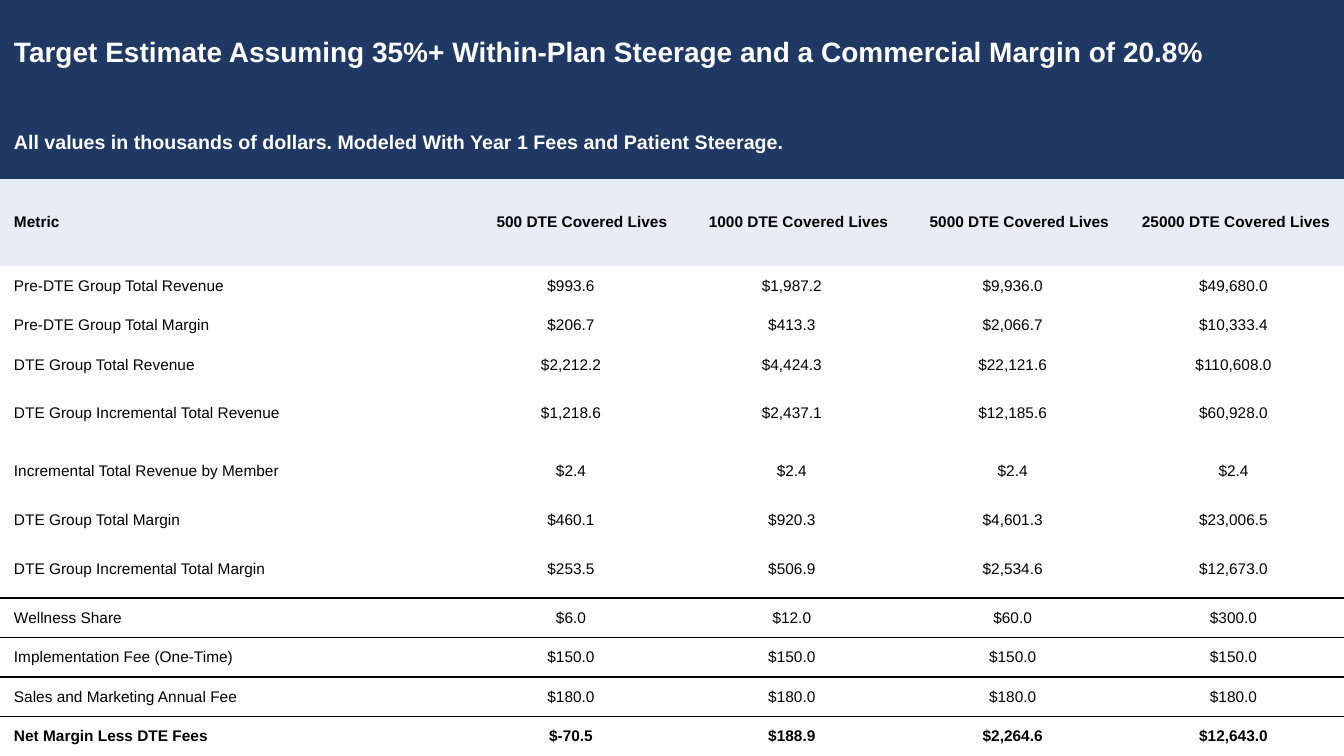
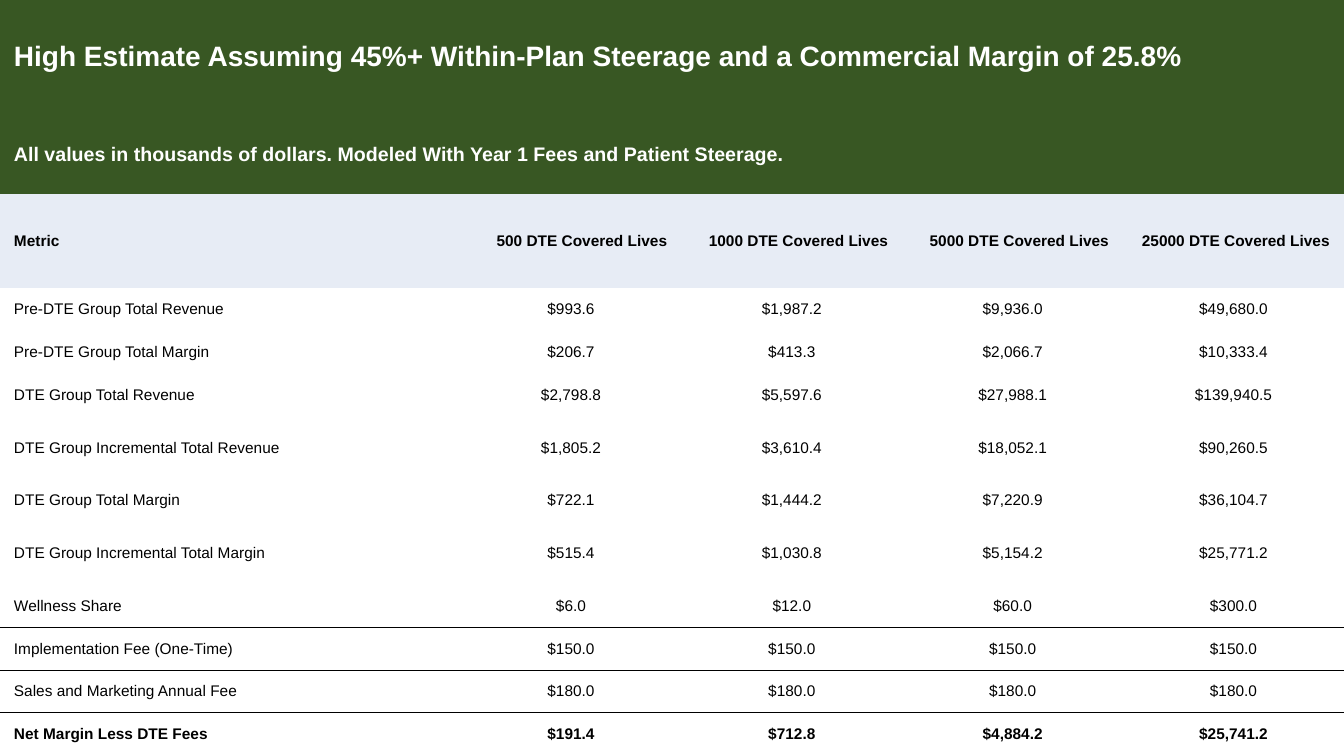
"""Build two slides of margin estimates for direct-to-employer groups."""
from lxml import etree
from pptx import Presentation
from pptx.dml.color import RGBColor
from pptx.enum.text import MSO_ANCHOR, PP_ALIGN
from pptx.oxml.ns import qn
from pptx.util import Pt

LEFT, CENTER, RIGHT = PP_ALIGN.LEFT, PP_ALIGN.CENTER, PP_ALIGN.RIGHT
MIDDLE = MSO_ANCHOR.MIDDLE

FONT = "Arial"
NAVY, GREEN, PALE_BLUE = "203864", "385723", "E7ECF5"
BLACK, WHITE = "000000", "FFFFFF"
PLAIN_TABLE_STYLE = "{2D5ABB26-0587-4C30-8999-92F81FD0307C}"

SLIDE_WIDTH, SLIDE_HEIGHT = 960, 540
COLUMN_WIDTHS = [329] + [157.75] * 4
CELL_MARGIN = 10
HEADING_HEIGHTS = [75.5, 52.5, 62]
ROW_HEIGHT, TALL_ROW_HEIGHT = 28.2, 41.4

SUBTITLE = "All values in thousands of dollars. Modeled With Year 1 Fees and Patient Steerage."
COVERED_LIVES = [500, 1000, 5000, 25000]
BASELINE = [
    ("Pre-DTE Group Total Revenue", [993.6, 1987.2, 9936, 49680]),
    ("Pre-DTE Group Total Margin", [206.7, 413.3, 2066.7, 10333.4]),
]
FEES = [
    ("Wellness Share", [6, 12, 60, 300]),
    ("Implementation Fee (One-Time)", [150] * 4),
    ("Sales and Marketing Annual Fee", [180] * 4),
]
TARGET = [
    *BASELINE,
    ("DTE Group Total Revenue", [2212.2, 4424.3, 22121.6, 110608]),
    ("DTE Group Incremental Total Revenue", [1218.6, 2437.1, 12185.6, 60928]),
    ("Incremental Total Revenue by Member", [2.4] * 4),
    ("DTE Group Total Margin", [460.1, 920.3, 4601.3, 23006.5]),
    ("DTE Group Incremental Total Margin", [253.5, 506.9, 2534.6, 12673]),
    *FEES,
    ("Net Margin Less DTE Fees", [-70.5, 188.9, 2264.6, 12643]),
]
HIGH = [
    *BASELINE,
    ("DTE Group Total Revenue", [2798.8, 5597.6, 27988.1, 139940.5]),
    ("DTE Group Incremental Total Revenue", [1805.2, 3610.4, 18052.1, 90260.5]),
    ("DTE Group Total Margin", [722.1, 1444.2, 7220.9, 36104.7]),
    ("DTE Group Incremental Total Margin", [515.4, 1030.8, 5154.2, 25771.2]),
    *FEES,
    ("Net Margin Less DTE Fees", [191.4, 712.8, 4884.2, 25741.2]),
]


def rgb(value):
    """Turn a hex string into a colour."""
    return RGBColor.from_string(value)


def write_cell(cell, text, size=11, color=BLACK, bold=False, align=LEFT, fill=None):
    """Put formatted text into a table cell."""
    cell.margin_left = cell.margin_right = Pt(CELL_MARGIN)
    cell.margin_top = cell.margin_bottom = 0
    cell.vertical_anchor = MIDDLE
    if fill:
        cell.fill.solid()
        cell.fill.fore_color.rgb = rgb(fill)
    else:
        cell.fill.background()
    paragraph = cell.text_frame.paragraphs[0]
    paragraph.alignment = align
    run = paragraph.add_run()
    run.text = text
    run.font.name = FONT
    run.font.size = Pt(size)
    run.font.bold = bold
    run.font.color.rgb = rgb(color)


def rule_edge(cell, edge):
    """Draw a thin black border on one edge of a cell."""
    line = etree.Element(qn(f"a:{edge}"), w=str(Pt(1)))
    solid = etree.SubElement(line, qn("a:solidFill"))
    etree.SubElement(solid, qn("a:srgbClr"), val=BLACK)
    cell._tc.get_or_add_tcPr().insert(0, line)


def rule_below(table, row):
    """Draw a border between a table row and the next one."""
    for column in range(len(COLUMN_WIDTHS)):
        rule_edge(table.cell(row, column), "lnB")
        rule_edge(table.cell(row + 1, column), "lnT")


def add_plain_table(slide, metrics):
    """Add an unstyled table whose rows share out the slide height."""
    heights = HEADING_HEIGHTS + [
        TALL_ROW_HEIGHT if "Incremental" in label else ROW_HEIGHT
        for label, _ in metrics
    ]
    table = slide.shapes.add_table(
        len(heights), len(COLUMN_WIDTHS), 0, 0, Pt(SLIDE_WIDTH), Pt(SLIDE_HEIGHT)
    ).table
    table.first_row = table.horz_banding = False
    table._tbl.tblPr.find(qn("a:tableStyleId")).text = PLAIN_TABLE_STYLE
    for column, width in zip(table.columns, COLUMN_WIDTHS):
        column.width = Pt(width)
    scale = SLIDE_HEIGHT / sum(heights)
    for row, height in zip(table.rows, heights):
        row.height = Pt(height * scale)
    return table


def add_band(table, row, text, size, fill):
    """Fill a whole table row with one heading."""
    table.cell(row, 0).merge(table.cell(row, len(COLUMN_WIDTHS) - 1))
    write_cell(table.cell(row, 0), text, size=size, color=WHITE, bold=True, fill=fill)


def add_row(table, row, label, entries, align=CENTER, **style):
    """Write a label and its entries across a table row."""
    write_cell(table.cell(row, 0), label, **style)
    for column, entry in enumerate(entries, 1):
        write_cell(table.cell(row, column), entry, align=align, **style)


def add_estimate(deck, title, band_color, metrics, ruled_labels):
    """Add a slide that tabulates one estimate."""
    slide = deck.slides.add_slide(deck.slide_layouts[6])
    table = add_plain_table(slide, metrics)
    add_band(table, 0, title, 20, band_color)
    add_band(table, 1, SUBTITLE, 14, band_color)
    lives = [f"{count} DTE Covered Lives" for count in COVERED_LIVES]
    add_row(table, 2, "Metric", lives, align=RIGHT, bold=True, fill=PALE_BLUE)
    for row, (label, amounts) in enumerate(metrics, len(HEADING_HEIGHTS)):
        dollars = [f"${amount:,.1f}" for amount in amounts]
        add_row(table, row, label, dollars, bold=label.startswith("Net"))
        if label in ruled_labels:
            rule_below(table, row)


def main():
    """Build and save the deck."""
    deck = Presentation()
    deck.slide_width, deck.slide_height = Pt(SLIDE_WIDTH), Pt(SLIDE_HEIGHT)
    add_estimate(
        deck,
        "Target Estimate Assuming 35%+ Within-Plan Steerage and a Commercial Margin of 20.8%",
        NAVY,
        TARGET,
        ["DTE Group Incremental Total Margin", "Implementation Fee (One-Time)"],
    )
    add_estimate(
        deck,
        "High Estimate Assuming 45%+ Within-Plan Steerage and a Commercial Margin of 25.8%",
        GREEN,
        HIGH,
        ["Wellness Share", "Sales and Marketing Annual Fee"],
    )
    deck.save("out.pptx")


if __name__ == "__main__":
    main()
